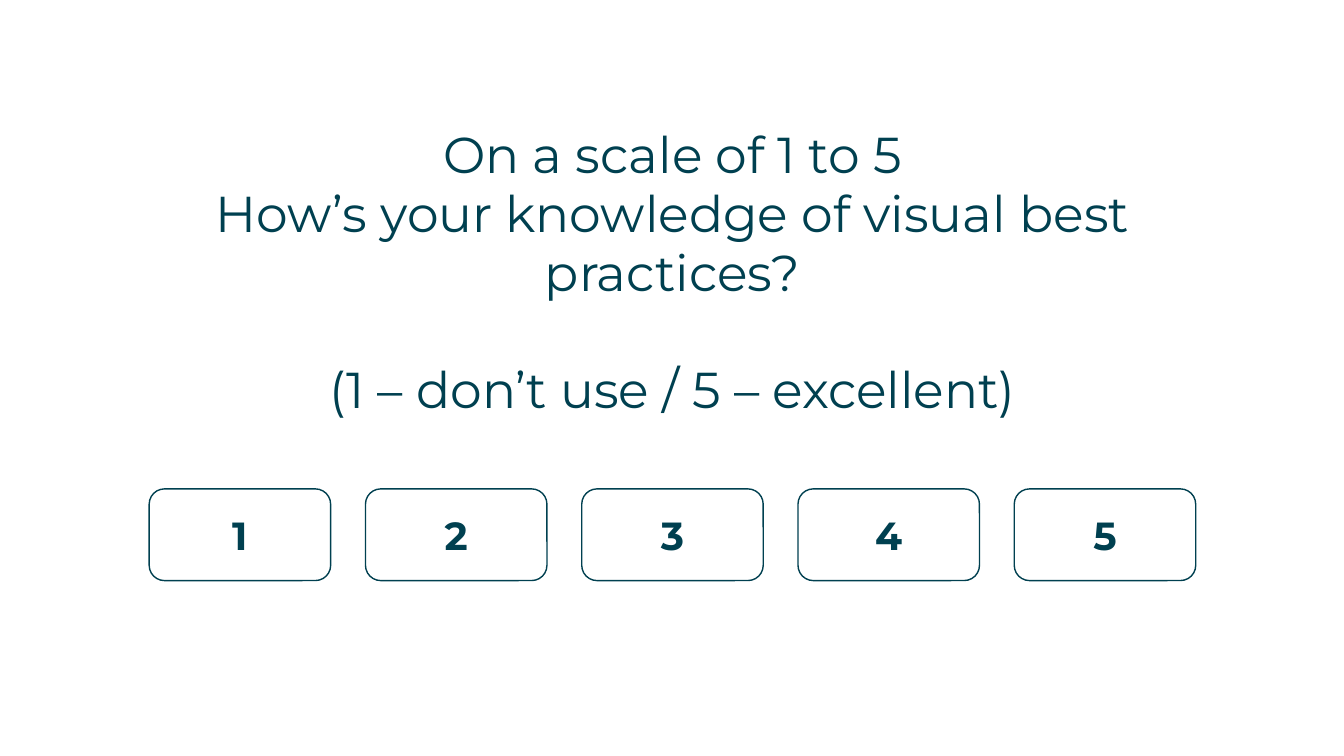
from pptx import Presentation
from pptx import util as u
from pptx.dml.color import RGBColor
from pptx.enum import shapes, text

INK = "004050"
FONT = "Montserrat"


def paint(color, value):
    color.rgb = RGBColor.from_string(value)


def style(part, **values):
    for name, value in values.items():
        setattr(part, name, value)


def write(para, words, size, **values):
    para.text = words
    style(para, alignment=text.PP_ALIGN.CENTER, **values)
    style(para.font, name=FONT, size=u.Pt(size))
    paint(para.font.color, INK)


def ask(slide, left, top, width, height):
    """Question with the key to the scale below it."""
    box = slide.shapes.add_textbox(*map(u.Inches, (left, top, width, height)))
    frame = box.text_frame
    style(frame, word_wrap=True, vertical_anchor=text.MSO_ANCHOR.TOP,
          margin_left=0, margin_top=0, margin_right=0, margin_bottom=0)
    line = u.Pt(42)
    write(frame.paragraphs[0],
          "On a scale of 1 to 5\vHow’s your knowledge of visual best practices?",
          36, line_spacing=line)
    write(frame.add_paragraph(), "(1 – don’t use / 5 – excellent)",
          36, line_spacing=line, space_before=line)


def scale(slide, left, top, width, height, count=5, wide=1.8):
    """Row of evenly spaced answer boxes, numbered from 1."""
    step = (width - wide) / (count - 1)
    group = slide.shapes.add_group_shape()
    for i in range(count):
        box = group.shapes.add_shape(
            shapes.MSO_SHAPE.ROUNDED_RECTANGLE,
            *map(u.Inches, (left + i * step, top, wide, height)))
        box.shadow.inherit = False
        box.fill.background()
        box.line.width = u.Pt(1)
        paint(box.line.color, INK)
        frame = box.text_frame
        frame.vertical_anchor = text.MSO_ANCHOR.MIDDLE
        write(frame.paragraphs[0], str(i + 1), 28)
        frame.paragraphs[0].font.bold = True


def main():
    deck = Presentation()
    style(deck, slide_width=u.Inches(13.33), slide_height=u.Inches(7.5))
    slide = deck.slides.add_slide(deck.slide_layouts[6])
    ask(slide, 1.48, 1.24, 10.38, 3)
    scale(slide, 1.48, 4.85, 10.38, 0.91)
    deck.save("out.pptx")


if __name__ == "__main__":
    main()
